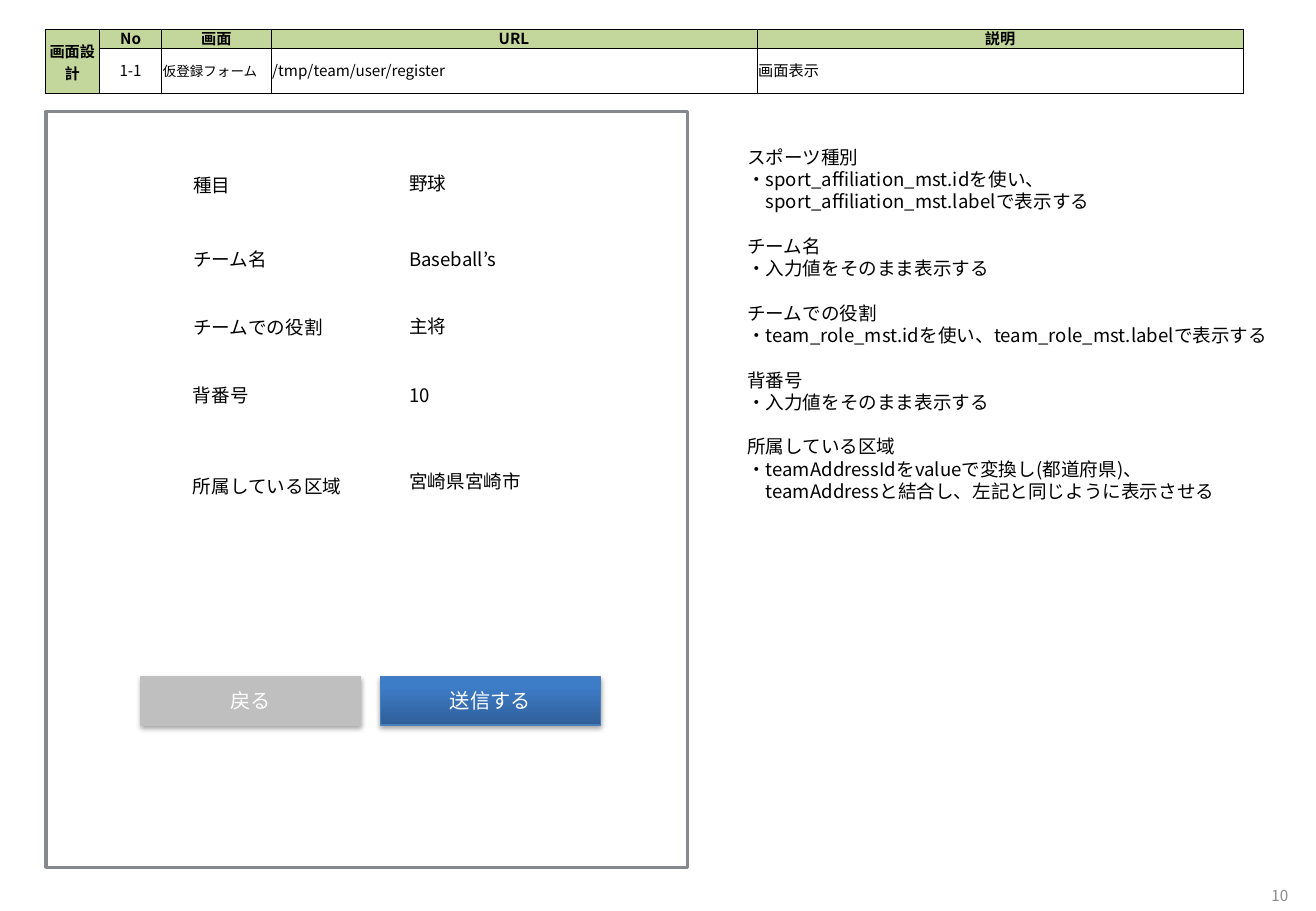
from dataclasses import dataclass

from lxml import etree
from pptx import Presentation
from pptx.dml.color import RGBColor
from pptx.enum.shapes import MSO_SHAPE
from pptx.enum.text import MSO_ANCHOR, PP_ALIGN
from pptx.oxml import parse_xml
from pptx.oxml.ns import qn
from pptx.util import Inches, Pt

RECT = MSO_SHAPE.RECTANGLE
TOP, MIDDLE = MSO_ANCHOR.TOP, MSO_ANCHOR.MIDDLE
LEFT, CENTER, RIGHT = PP_ALIGN.LEFT, PP_ALIGN.CENTER, PP_ALIGN.RIGHT
NS = 'xmlns:a="http://schemas.openxmlformats.org/drawingml/2006/main"'


@dataclass(frozen=True)
class Theme:
    font: str = "Noto Sans CJK JP"
    page_font: str = "Noto Sans CJK KR"
    ink: str = "000000"
    white: str = "FFFFFF"
    head: str = "C3D69B"
    frame: str = "85888D"
    page: str = "8C8C8C"
    back: str = "BFBFBF"
    send: str = "4B7EBC"
    send_low: str = "2F5F99"
    send_high: str = "3D7CC7"
    tiny: float = 8
    small: float = 9
    body: float = 11
    button: float = 12
    lead: float = 1.2


THEME = Theme()
rgb = RGBColor.from_string


def write(para, text, size=THEME.body, color=THEME.ink, bold=False,
          align=LEFT, font=THEME.font, lead=THEME.lead, before=0):
    """Fill one paragraph with formatted text."""
    run = para.add_run()
    run.text = text
    for name, value in {"name": font, "size": Pt(size), "bold": bold}.items():
        setattr(run.font, name, value)
    run.font.color.rgb = rgb(color)
    etree.SubElement(run.font._element, qn("a:ea"), typeface=font)
    form = {"alignment": align, "line_spacing": Pt(size * lead),
            "space_before": Pt(before)}
    for name, value in form.items():
        setattr(para, name, value)


def text_box(slide, box, wrap=False, anchor=TOP):
    frame = slide.shapes.add_textbox(*map(Inches, box)).text_frame
    frame.word_wrap, frame.vertical_anchor = wrap, anchor
    return frame


# Header table
def style_cell(cell, fill=None):
    props = cell._tc.get_or_add_tcPr()
    for side in "LRTB":
        props.append(parse_xml(
            f'<a:ln{side} {NS} w="{Pt(0.5)}"><a:solidFill>'
            f'<a:srgbClr val="{THEME.ink}"/></a:solidFill></a:ln{side}>'))
    form = {"margin_left": Inches(0.01), "margin_right": Inches(0.01),
            "margin_top": Inches(0.01), "margin_bottom": 0,
            "vertical_anchor": MIDDLE}
    for name, value in form.items():
        setattr(cell, name, value)
    if fill:
        cell.fill.solid()
        cell.fill.fore_color.rgb = rgb(fill)
    else:
        cell.fill.background()


def add_header(slide, box):
    widths, heights = [0.45, 0.51, 0.9, 4, 4], [0.16, 0.31]
    heads = ["画面設計", "No", "画面", "URL", "説明"]
    values = ["", "1-1", "仮登録フォーム", "/tmp/team/user/register", "画面表示"]
    table = slide.shapes.add_table(2, 5, *map(Inches, box)).table
    table.first_row = table.horz_banding = False
    for row, high in zip(table.rows, heights):
        row.height = Inches(high)
    for col, wide in enumerate(widths):
        table.columns[col].width = Inches(wide)
        top, low = table.cell(0, col), table.cell(1, col)
        style_cell(top, THEME.head)
        style_cell(low, None if col else THEME.head)
        write(top.text_frame.paragraphs[0], heads[col], THEME.small, bold=True,
              align=CENTER, lead=THEME.lead if col else 1.45)
        if col:
            write(low.text_frame.paragraphs[0], values[col],
                  THEME.tiny if col == 2 else THEME.small,
                  align=CENTER if col == 1 else LEFT)
    table.cell(0, 0).merge(table.cell(1, 0))


# Form mock-up
def add_button(slide, box, text, line):
    button = slide.shapes.add_shape(RECT, *map(Inches, box))
    button.fill.solid()
    button.fill.fore_color.rgb = rgb(line)
    button.line.color.rgb = rgb(line)
    button.line.width = Pt(0.75)
    button.text_frame.vertical_anchor = MIDDLE
    write(button.text_frame.paragraphs[0], text, THEME.button, THEME.white,
          align=CENTER)
    return button


def add_shade(shape):
    shape._element.spPr.append(parse_xml(
        f'<a:effectLst {NS}><a:outerShdw blurRad="{Pt(3.1)}" dist="{Pt(1.8)}" '
        f'dir="5400000" rotWithShape="0"><a:srgbClr val="{THEME.ink}">'
        '<a:alpha val="35000"/></a:srgbClr></a:outerShdw></a:effectLst>'))


def add_form(slide, box):
    left, top, _, _ = box
    frame = slide.shapes.add_shape(RECT, *map(Inches, box))
    frame.shadow.inherit = False
    frame.fill.background()
    frame.line.color.rgb = rgb(THEME.frame)
    frame.line.width = Pt(2)

    # Label and value, each with its own offset from the frame top
    fields = [
        ("種目", 0.46, 0.51, "野球", 0.45, 0.51),
        ("チーム名", 1.07, 0.81, "Baseball’s", 1.07, 0.94),
        ("チームでの役割", 1.63, 1.28, "主将", 1.62, 0.51),
        ("背番号", 2.19, 0.66, "10", 2.19, 0.39),
        ("所属している区域", 2.94, 1.44, "宮崎県宮崎市", 2.9, 1.13),
    ]
    for label, low, wide, value, drop, span in fields:
        for text, x, y, w in [(label, 1.11, low, wide), (value, 2.89, drop, span)]:
            words = text_box(slide, (left + x, top + y, w, 0.29))
            write(words.paragraphs[0], text)

    size = (1.81, 0.4)
    back = add_button(slide, (left + 0.78, top + 4.65, *size), "戻る", THEME.back)
    send = add_button(slide, (left + 2.75, top + 4.65, *size), "送信する", THEME.send)
    send.fill.gradient()
    send.fill.gradient_angle = 90
    shades = [(0, THEME.send_low), (0.8, THEME.send_high)]
    for stop, (place, color) in zip(send.fill.gradient_stops, shades):
        stop.position = place
        stop.color.rgb = rgb(color)
    for button in (back, send):
        add_shade(button)


# Notes on each field
def add_notes(slide, box):
    groups = [
        ["スポーツ種別", "・sport_affiliation_mst.idを使い、",
         "　sport_affiliation_mst.labelで表示する"],
        ["チーム名", "・入力値をそのまま表示する"],
        ["チームでの役割",
         "・team_role_mst.idを使い、team_role_mst.labelで表示する"],
        ["背番号", "・入力値をそのまま表示する"],
        ["所属している区域", "・teamAddressIdをvalueで変換し(都道府県)、",
         "　teamAddressと結合し、左記と同じように表示させる"],
    ]
    frame = text_box(slide, box, wrap=True)
    para = frame.paragraphs[0]
    for group in groups:
        for line in group:
            first = line == group[0] and group is not groups[0]
            write(para, line, before=THEME.body * THEME.lead if first else 0)
            if line != groups[-1][-1]:
                para = frame.add_paragraph()


# Page number
def add_page(slide, box):
    frame = text_box(slide, box, wrap=True, anchor=MIDDLE)
    write(frame.paragraphs[0], "10", THEME.small, THEME.page, align=RIGHT,
          font=THEME.page_font)


def main():
    deck = Presentation()
    deck.slide_width, deck.slide_height = Inches(10.83), Inches(7.5)
    slide = deck.slides.add_slide(deck.slide_layouts[6])
    add_header(slide, (0.37, 0.24, 9.86, 0.47))
    add_page(slide, (10.06, 7.29, 0.64, 0.16))
    add_form(slide, (0.38, 0.92, 5.28, 6.22))
    add_notes(slide, (6.05, 1.15, 4.55, 3.06))
    deck.save("out.pptx")


if __name__ == "__main__":
    main()
